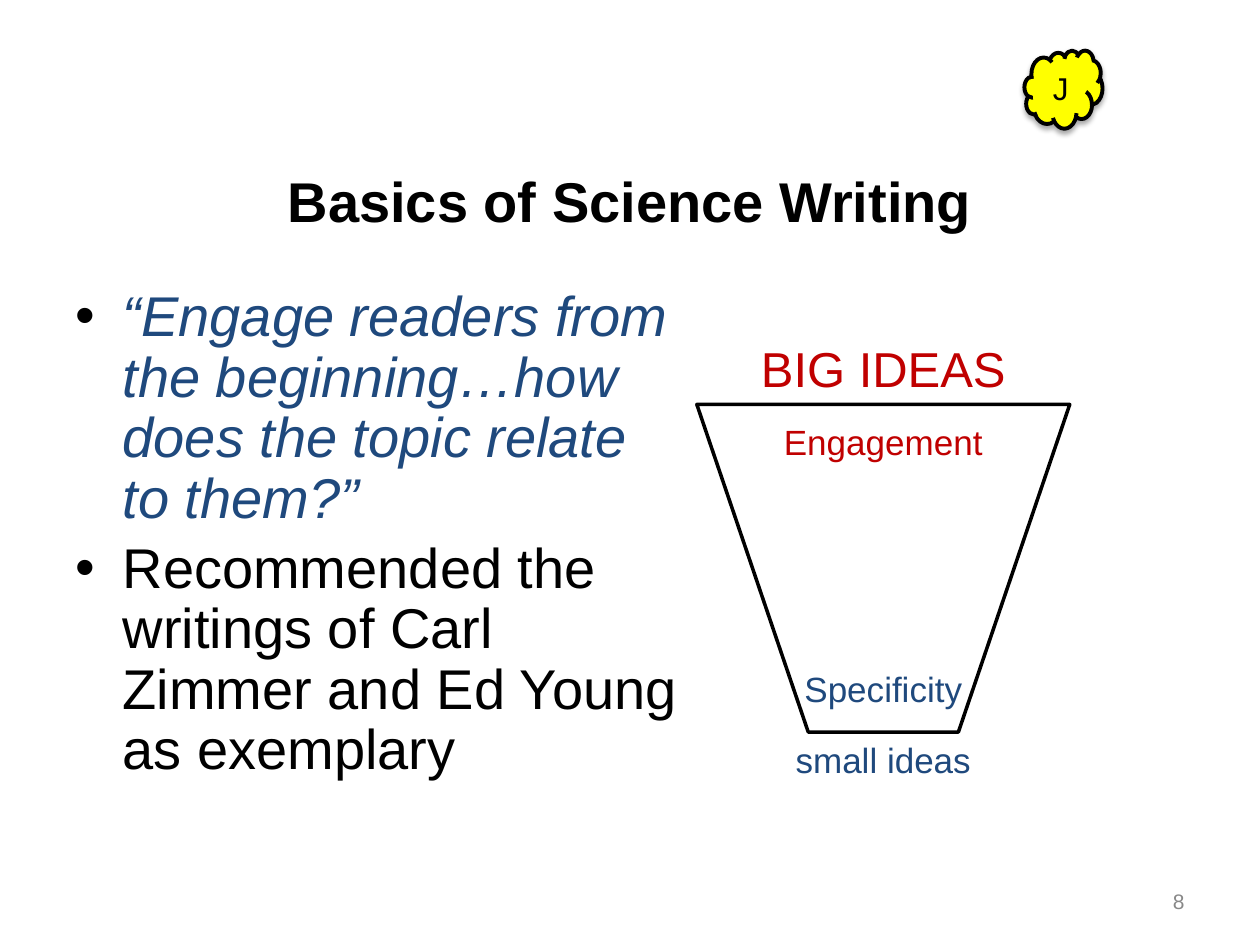
from lxml.etree import SubElement
from pptx import Presentation
from pptx.dml.color import RGBColor
from pptx.enum.shapes import MSO_SHAPE as Shape
from pptx.enum.text import MSO_ANCHOR as Anchor, PP_ALIGN as Align
from pptx.oxml.ns import qn
from pptx.util import Pt

BLACK = RGBColor(0x00, 0x00, 0x00)
GRAY = RGBColor(0x88, 0x88, 0x88)
RED = RGBColor(0xC0, 0x00, 0x00)
NAVY = RGBColor(0x1F, 0x49, 0x7D)
YELLOW = RGBColor(0xFF, 0xFF, 0x00)
FONT = "Arial"
FUNNEL_LEFT, FUNNEL_TOP, FUNNEL_WIDTH, FUNNEL_HEIGHT = 398.2, 231.1, 213.1, 187.2


def add_words(paragraph, words, size, color, bold=False, italic=False):
    run = paragraph.add_run()
    run.text = words
    font = run.font
    font.name, font.size = FONT, Pt(size)
    font.bold, font.italic = bold, italic
    font.color.rgb = color


def add_frame(slide, left, top, width, height, anchor=Anchor.TOP):
    box = slide.shapes.add_textbox(Pt(left), Pt(top), Pt(width), Pt(height))
    frame = box.text_frame
    frame.word_wrap = True
    frame.vertical_anchor = anchor
    return frame


def add_line_of_text(slide, place, words, size, color, align=Align.CENTER,
                     anchor=Anchor.TOP, bold=False):
    paragraph = add_frame(slide, *place, anchor).paragraphs[0]
    paragraph.alignment = align
    add_words(paragraph, words, size, color, bold)


def add_bullets(slide, place, points):
    frame = add_frame(slide, *place)
    for index, (words, color, italic) in enumerate(points):
        paragraph = frame.add_paragraph() if index else frame.paragraphs[0]
        paragraph.line_spacing = 0.9
        if index:
            paragraph.space_before = Pt(5.4)
        layout = paragraph._p.get_or_add_pPr()
        layout.set("marL", str(Pt(27)))
        layout.set("indent", str(Pt(-27)))
        bullet_color = SubElement(layout, qn("a:buClr"))
        SubElement(bullet_color, qn("a:srgbClr"), val=str(BLACK))
        SubElement(layout, qn("a:buFont"), typeface=FONT)
        SubElement(layout, qn("a:buChar"), char="•")
        add_words(paragraph, words, 32, color, italic=italic)


def add_outline(slide, kind, place, weight):
    outline = slide.shapes.add_shape(kind, *map(Pt, place))
    outline.shadow.inherit = False
    outline.fill.background()
    outline.line.color.rgb = BLACK
    outline.line.width = Pt(weight)
    return outline


def add_cloud(slide, place, letter):
    cloud = add_outline(slide, Shape.CLOUD, place, 2.25)
    cloud.fill.solid()
    cloud.fill.fore_color.rgb = YELLOW
    effects = cloud._element.spPr.find(qn("a:effectLst"))
    shadow = SubElement(effects, qn("a:outerShdw"), blurRad=str(Pt(3.1)),
                        dist=str(Pt(1.8)), dir="5400000", rotWithShape="0")
    tint = SubElement(shadow, qn("a:srgbClr"), val=str(BLACK))
    SubElement(tint, qn("a:alpha"), val="35000")
    cloud.text_frame.vertical_anchor = Anchor.MIDDLE
    paragraph = cloud.text_frame.paragraphs[0]
    paragraph.alignment = Align.CENTER
    add_words(paragraph, letter, 18, BLACK)


def add_funnel(slide):
    middle = FUNNEL_LEFT + FUNNEL_WIDTH / 2
    bottom = FUNNEL_TOP + FUNNEL_HEIGHT
    labels = [
        ("BIG IDEAS", FUNNEL_TOP - 41, FUNNEL_WIDTH, 41, 28, RED),
        ("small ideas", bottom, 122.4, 31.5, 20, NAVY),
        ("Engagement", FUNNEL_TOP + 5.8, 138.2, 31.5, 20, RED),
        ("Specificity", bottom - 40.3, 138.2, 31.5, 20, NAVY),
    ]
    for words, top, width, height, size, color in labels:
        place = (middle - width / 2, top, width, height)
        add_line_of_text(slide, place, words, size, color)
    place = (FUNNEL_LEFT, FUNNEL_TOP, FUNNEL_WIDTH, FUNNEL_HEIGHT)
    funnel = add_outline(slide, Shape.TRAPEZOID, place, 2)
    funnel.adjustments[0] = 0.34
    funnel.rotation = 180


def main():
    deck = Presentation()
    deck.slide_width, deck.slide_height = Pt(720), Pt(540)
    slide = deck.slides.add_slide(deck.slide_layouts[6])
    add_line_of_text(slide, (36, 82.8, 648, 63.4), "Basics of Science Writing",
                     32, BLACK, anchor=Anchor.MIDDLE, bold=True)
    add_bullets(slide, (36, 161.3, 362.2, 321.1), [
        ("“Engage readers from the beginning…how does the topic relate to them?”",
         NAVY, True),
        ("Recommended the writings of Carl Zimmer and Ed Young as exemplary",
         BLACK, False),
    ])
    add_line_of_text(slide, (516.2, 500.4, 167.8, 28.8), "8", 12, GRAY,
                     Align.RIGHT, Anchor.MIDDLE)
    add_cloud(slide, (585.4, 28.8, 44.6, 44.6), "J")
    add_funnel(slide)
    deck.save("out.pptx")


if __name__ == "__main__":
    main()
